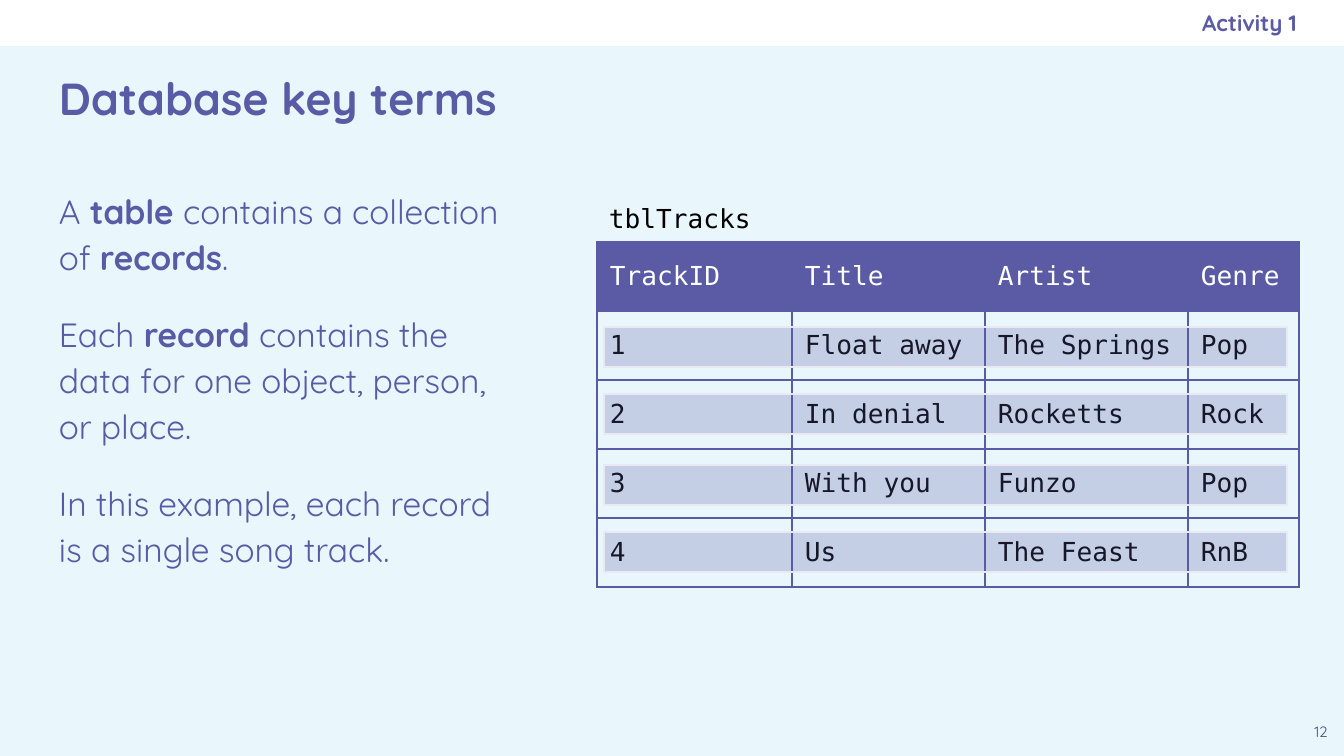
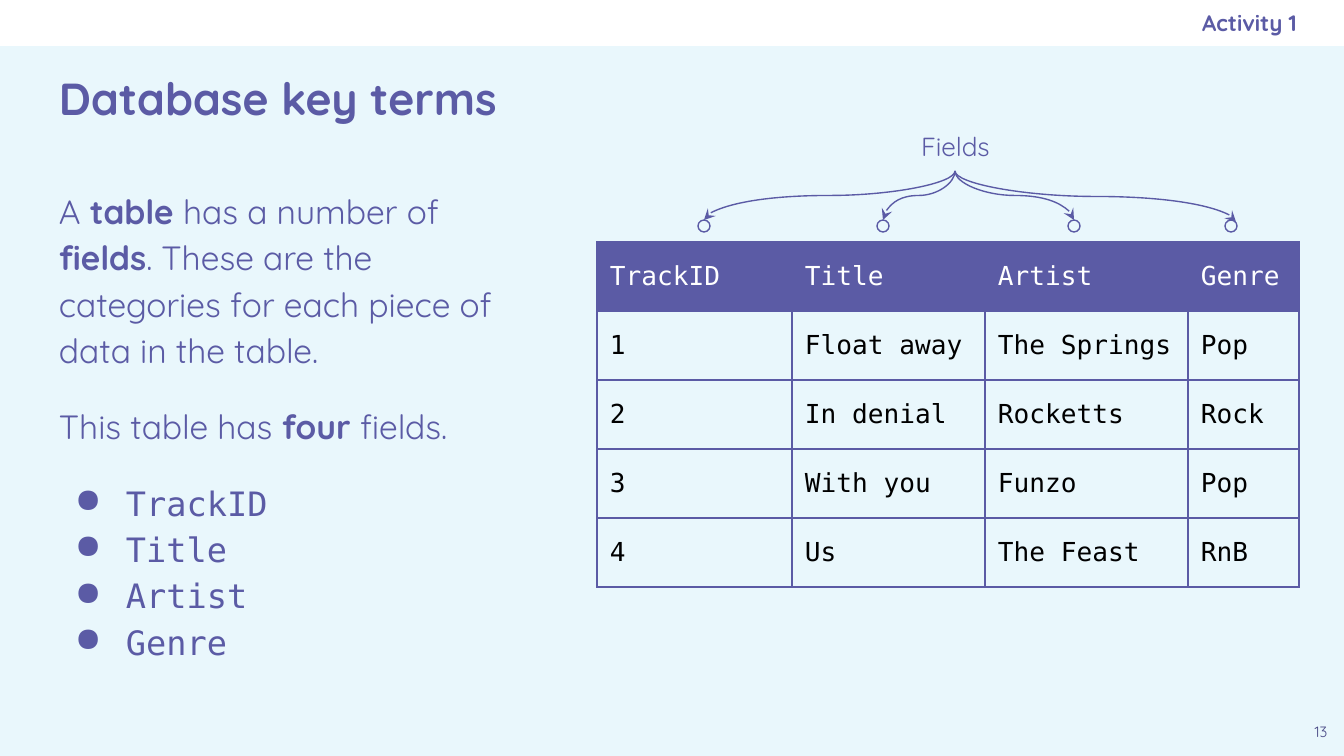
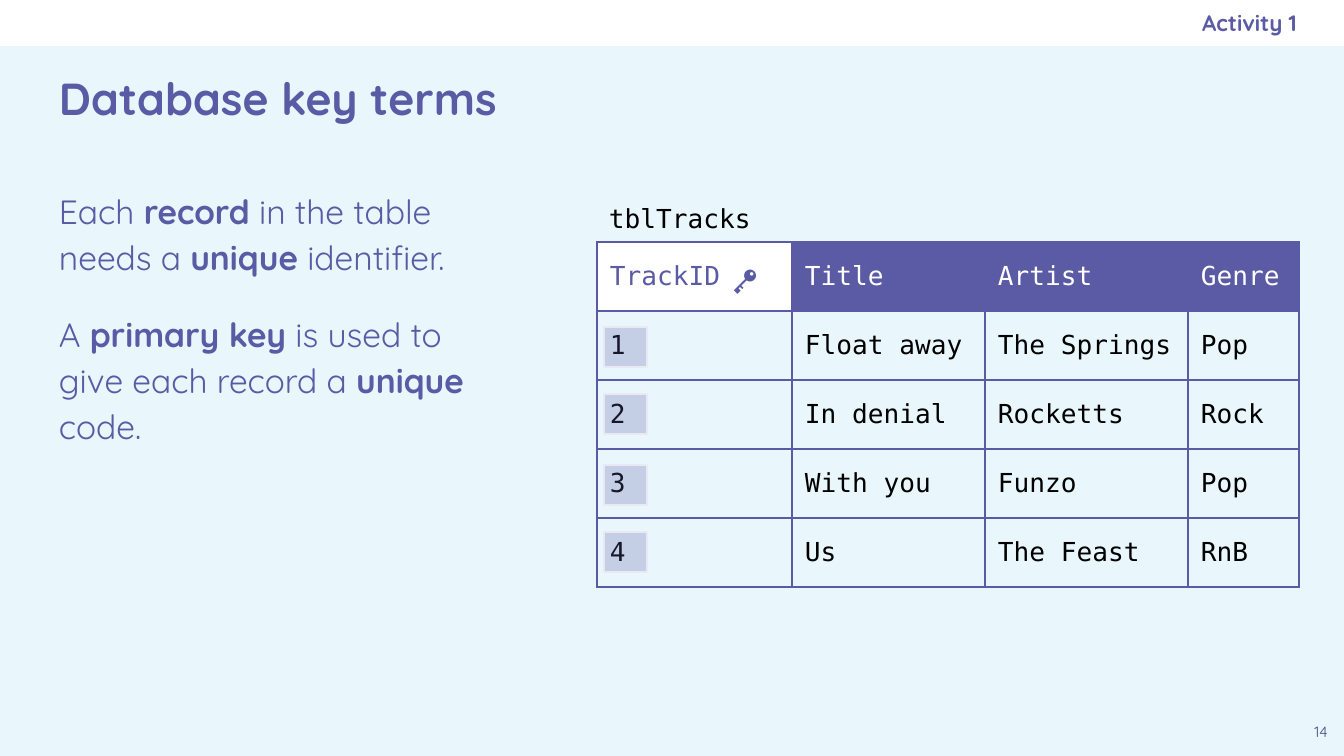
from collections import namedtuple

from lxml import etree
from pptx import Presentation
from pptx import util as u
from pptx.dml.color import RGBColor
from pptx.enum import shapes, text
from pptx.oxml import ns

Box = namedtuple("Box", "x y w h")

EMU_PER_PX = 914400 / 134.4
PURPLE = RGBColor(0x5B, 0x5B, 0xA5)
DARK_PURPLE = RGBColor(0x49, 0x49, 0x85)
PALE_BLUE = RGBColor(0xE9, 0xF7, 0xFC)
PALE_LILAC = RGBColor(0xE9, 0xE9, 0xF3)
WHITE = RGBColor(0xFF, 0xFF, 0xFF)
BLACK = RGBColor(0, 0, 0)
SANS = "Quicksand"
MONO = "DejaVu Sans Mono"
LINE_WIDTH = u.Pt(0.75)
INSET = 13

PAGE = Box(0, 0, 1344, 756)
BAND = Box(0, 0, 1344, 46)
TITLE = Box(46, 47, 1253, 102)
ACTIVITY = Box(773, 0, 524, 46)
NUMBER = Box(1298, 710, 46, 46)
BODY = Box(46, 172, 472, 538)
TRACKS = Box(597, 242, 702, 345)

COLUMN_WIDTHS = (195, 193, 203, 111)
FIELDS = ("TrackID", "Title", "Artist", "Genre")
RECORDS = (
    ("1", "Float away", "The Springs", "Pop"),
    ("2", "In denial", "Rocketts", "Rock"),
    ("3", "With you", "Funzo", "Pop"),
    ("4", "Us", "The Feast", "RnB"),
)
HIGHLIGHT_TOPS = (85, 152, 223, 290)


def px(n):
    return u.Emu(round(n * EMU_PER_PX))


def place(box):
    return [px(n) for n in box]


def sub(parent, tag, **attrs):
    return etree.SubElement(parent, ns.qn(tag), attrs)


def set_frame(tf, anchor=text.MSO_ANCHOR.TOP, right=INSET):
    tf.word_wrap = True
    tf.auto_size = text.MSO_AUTO_SIZE.NONE
    tf.vertical_anchor = anchor
    tf.margin_left = tf.margin_top = tf.margin_bottom = px(INSET)
    tf.margin_right = px(right)


def set_font(p, size, color, name=SANS, bold=None):
    f = p.font
    f.size, f.name, f.bold = u.Pt(size), name, bold
    f.color.rgb = color


def add_label(s, box, words, size, color, name=SANS, bold=None,
              align=text.PP_ALIGN.LEFT, **frame):
    tf = s.shapes.add_textbox(*place(box)).text_frame
    set_frame(tf, **frame)
    p = tf.paragraphs[0]
    p.text, p.alignment = words, align
    set_font(p, size, color, name, bold)
    return p


def add_outlined(parent, kind, box, line):
    sp = parent.add_shape(kind, *place(box))
    sp.shadow.inherit = False
    sp.fill.background()
    sp.line.color.rgb, sp.line.width = line, LINE_WIDTH
    return sp


def new_slide(prs, number):
    s = prs.slides.add_slide(prs.slide_layouts[5])
    band = s.shapes.add_shape(shapes.MSO_SHAPE.RECTANGLE, *place(BAND))
    band.shadow.inherit = False
    band.fill.solid()
    band.fill.fore_color.rgb = WHITE
    band.line.fill.background()

    title = s.shapes.title
    title.left, title.top, title.width, title.height = place(TITLE)
    set_frame(title.text_frame, text.MSO_ANCHOR.MIDDLE)
    p = title.text_frame.paragraphs[0]
    p.text, p.alignment = "Database key terms", text.PP_ALIGN.LEFT
    set_font(p, 24, PURPLE, bold=True)

    add_label(s, ACTIVITY, "Activity 1", 12, PURPLE, bold=True,
              align=text.PP_ALIGN.RIGHT, anchor=text.MSO_ANCHOR.MIDDLE, right=0)
    add_label(s, NUMBER, str(number), 8, DARK_PURPLE, align=text.PP_ALIGN.CENTER)
    return s


def add_bullet(p):
    pPr = p._p.get_or_add_pPr()
    pPr.set("marL", str(px(67)))
    pPr.set("indent", str(px(-51)))
    sub(sub(pPr, "a:buClr"), "a:srgbClr", val=str(PURPLE))
    sub(pPr, "a:buChar", char="●")


def add_body(s, box, paragraphs, bullets=()):
    tf = s.shapes.add_textbox(*place(box)).text_frame
    set_frame(tf)
    for i, words in enumerate((*paragraphs, *bullets)):
        p = tf.paragraphs[0] if i == 0 else tf.add_paragraph()
        is_bullet = i >= len(paragraphs)
        if is_bullet:
            add_bullet(p)
        p.line_spacing = 1.15
        p.space_before = u.Pt(16 if 0 < i <= len(paragraphs) else 0)
        set_font(p, 18, PURPLE, MONO if is_bullet else SANS)
        for j, part in enumerate(words.split("**")):
            if part:
                r = p.add_run()
                r.text = part
                if j % 2:
                    r.font.bold = True


def set_borders(cell):
    tcPr = cell._tc.get_or_add_tcPr()
    for i, side in enumerate(("a:lnL", "a:lnR", "a:lnT", "a:lnB")):
        ln = sub(tcPr, side, w=str(LINE_WIDTH))
        sub(sub(ln, "a:solidFill"), "a:srgbClr", val=str(PURPLE))
        tcPr.insert(i, ln)


def format_cell(cell, words, color, fill):
    cell.text = words
    cell.vertical_anchor = text.MSO_ANCHOR.MIDDLE
    cell.margin_left = cell.margin_right = px(INSET)
    cell.margin_top = cell.margin_bottom = px(INSET)
    set_font(cell.text_frame.paragraphs[0], 14, color, MONO)
    if fill is None:
        cell.fill.background()
    else:
        cell.fill.solid()
        cell.fill.fore_color.rgb = fill
    set_borders(cell)


def add_tracks(s, box, key_column=None):
    rows = (FIELDS, *RECORDS)
    tbl = s.shapes.add_table(len(rows), len(FIELDS), *place(box)).table
    tbl.first_row = tbl.horz_banding = False
    for col, width in zip(tbl.columns, COLUMN_WIDTHS):
        col.width = px(width)
    for i, row in enumerate(rows):
        tbl.rows[i].height = px(box.h / len(rows))
        for j, words in enumerate(row):
            if i:
                color, fill = BLACK, None
            elif j == key_column:
                color, fill = PURPLE, WHITE
            else:
                color, fill = WHITE, PURPLE
            format_cell(tbl.cell(i, j), words, color, fill)


def add_table_name(s, box):
    add_label(s, Box(box.x - 1, box.y - 53, 356, 52), "tblTracks", 14, BLACK, MONO)


def add_highlights(parent, box, width):
    for top in HIGHLIGHT_TOPS:
        sp = add_outlined(parent, shapes.MSO_SHAPE.RECTANGLE,
                          Box(box.x + 7, box.y + top, width, 40), PALE_LILAC)
        sp.fill.solid()
        sp.fill.fore_color.rgb = PURPLE
        sub(sp.element.spPr.find(".//" + ns.qn("a:srgbClr")), "a:alpha", val="26000")


def add_curve(s, x1, y1, x2, y2):
    cx, cy = (x1 + x2) / 2, (y1 + y2) / 2
    across, down = abs(x2 - x1) / 2, (y2 - y1) / 2
    side = 1 if x2 < x1 else -1
    c = s.shapes.add_connector(
        shapes.MSO_CONNECTOR.CURVE,
        px(cx - side * down), px(cy - across), px(cx + side * down), px(cy + across))
    c.rotation = 90 if side == 1 else 270
    c.line.color.rgb, c.line.width = PURPLE, LINE_WIDTH
    sub(c.line._get_or_add_ln(), "a:tailEnd", type="stealth")
    sub(c.element.spPr, "a:effectLst")


def add_field_pointers(s, box):
    x, y = box.x + 358, box.y - 71
    add_label(s, Box(x - 56, y - 54, 113, 52), "Fields", 14, PURPLE,
              align=text.PP_ALIGN.CENTER)
    radius, ring_y = 6, box.y - 16
    for offset, tip_dx, tip_dy in ((107, 0, 0), (286, 0, 0), (477, 0, 0), (634, 5, 2)):
        ring_x = box.x + offset
        add_outlined(s.shapes, shapes.MSO_SHAPE.OVAL,
                     Box(ring_x - radius, ring_y - radius, 2 * radius, 2 * radius), PURPLE)
        add_curve(s, x, y, ring_x + tip_dx, ring_y - radius + tip_dy)


def records_slide(prs):
    s = new_slide(prs, 12)
    add_body(s, BODY, (
        "A **table **contains a collection of **records**.",
        "Each **record **contains the data for one object, person, or place.",
        "In this example, each record is a single song track.",
    ))
    add_tracks(s, TRACKS)
    add_table_name(s, TRACKS)
    add_highlights(s.shapes, TRACKS, 683)


def fields_slide(prs):
    s = new_slide(prs, 13)
    add_body(s, BODY, (
        "A **table **has a number of **fields**. These are the categories "
        "for each piece of data in the table.",
        "This table has **four **fields.",
    ), FIELDS)
    add_tracks(s, TRACKS)
    add_field_pointers(s, TRACKS)


def primary_key_slide(prs):
    s = new_slide(prs, 14)
    add_body(s, BODY, (
        "Each **record **in the table needs a **unique** identifier.",
        "A **primary key** is used to give each record a **unique** code.",
    ))
    add_tracks(s, TRACKS, key_column=0)
    key = add_label(s, Box(TRACKS.x + 123, TRACKS.y + 4, 58, 59), "🔑", 14, PURPLE)
    key.line_spacing = 1.15
    add_table_name(s, TRACKS)
    add_highlights(s.shapes.add_group_shape().shapes, TRACKS, 43)


def main():
    prs = Presentation()
    prs.slide_width, prs.slide_height = px(PAGE.w), px(PAGE.h)
    fill = prs.slide_master.background.fill
    fill.solid()
    fill.fore_color.rgb = PALE_BLUE
    records_slide(prs)
    fields_slide(prs)
    primary_key_slide(prs)
    prs.save("out.pptx")


if __name__ == "__main__":
    main()
